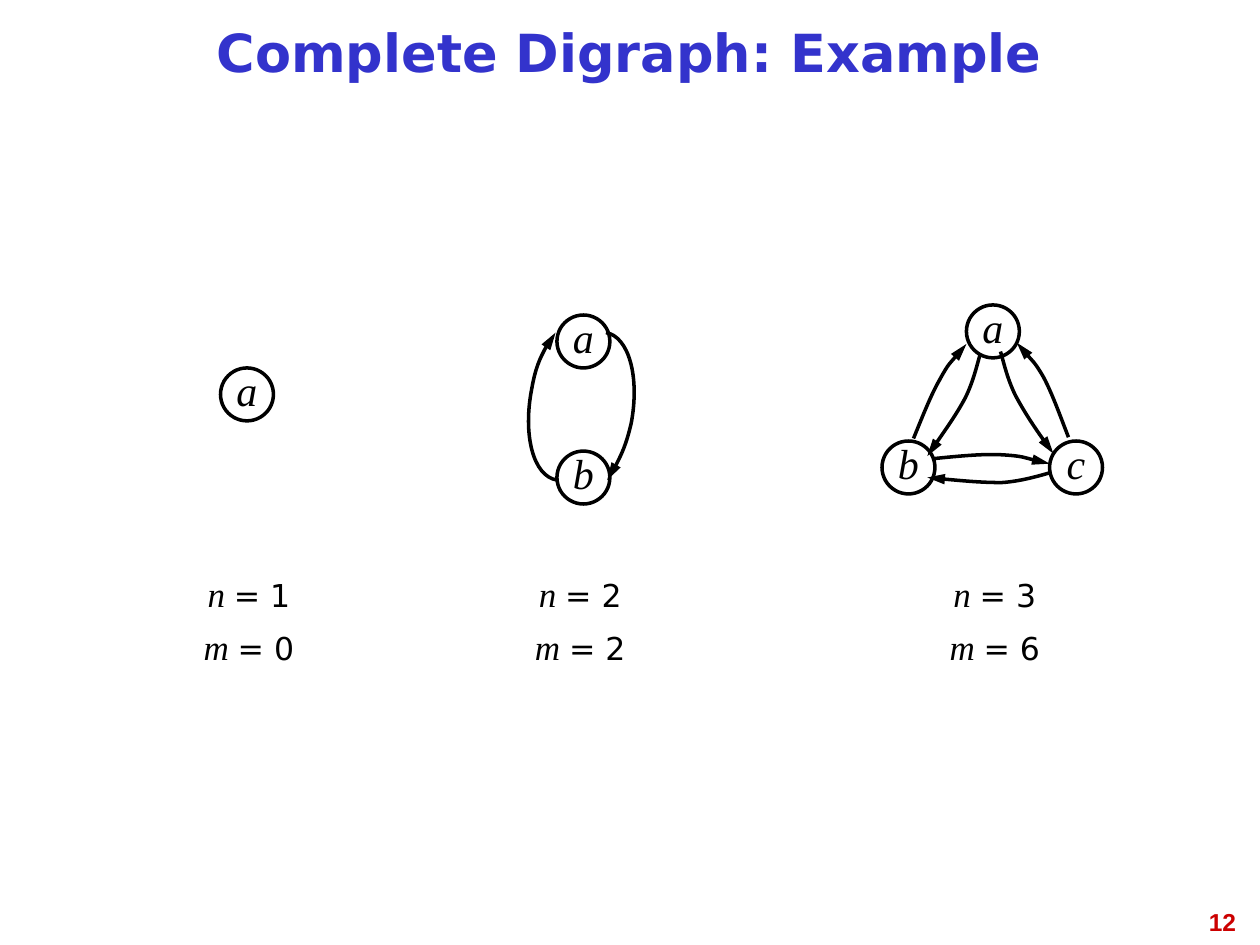
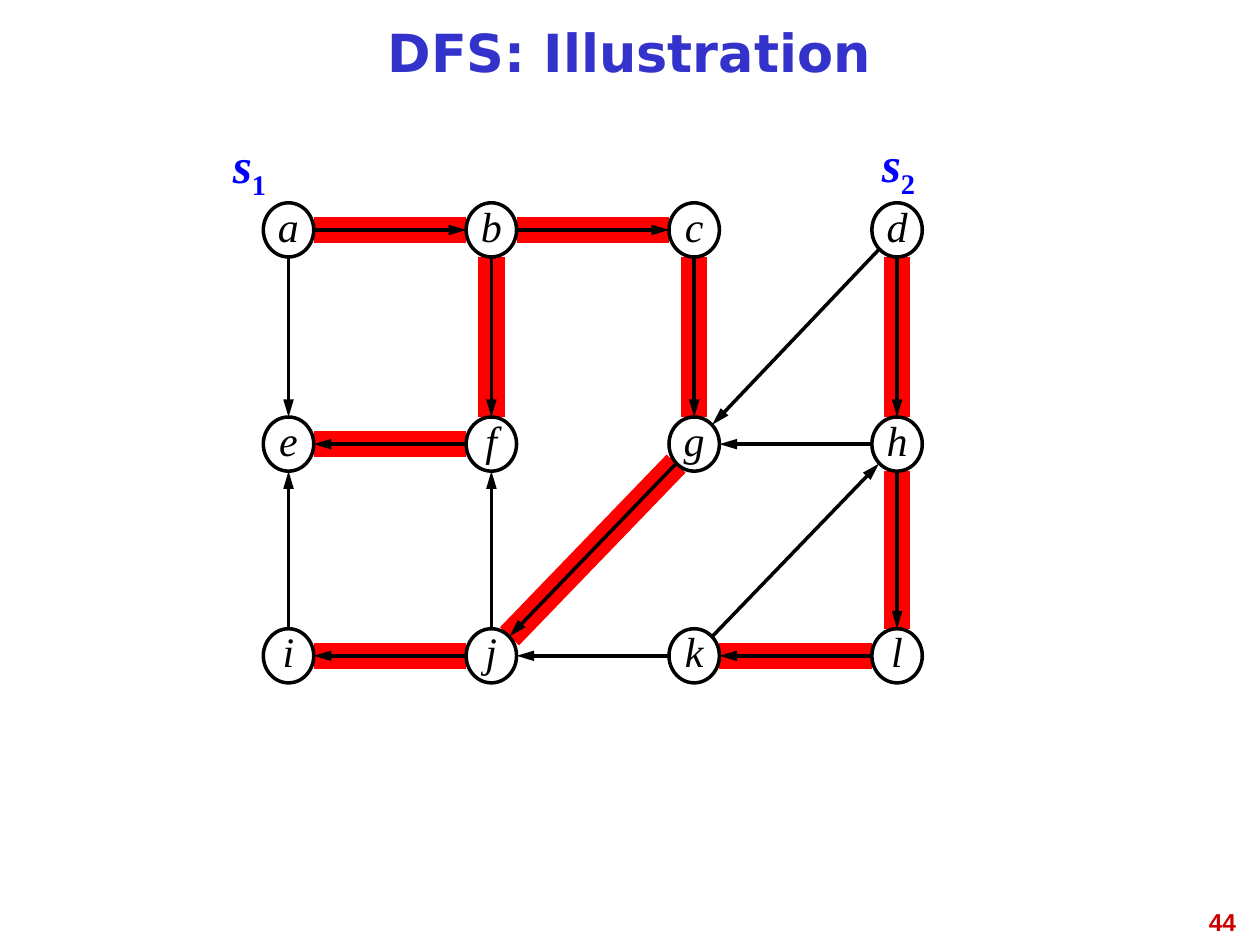
from itertools import product

from lxml.etree import SubElement
from pptx import Presentation
from pptx.dml.color import RGBColor
from pptx.enum.shapes import MSO_CONNECTOR, MSO_SHAPE
from pptx.enum.text import MSO_ANCHOR, PP_ALIGN
from pptx.oxml.ns import qn
from pptx.util import Emu, Pt

PX = 9144
BLACK, RED, BLUE = "000000", "FF0000", "0000FF"
TITLE_BLUE, NUMBER_RED = "3333CC", "CC0000"
SERIF, SANS, NUMBER_FONT = "Times New Roman", "DejaVu Sans", "Arial"
TIGHT = 0.81

DIGRAPHS = [
    {"left": 145, "order": 1, "size": 0, "nodes": [("a", 175, 292)], "arcs": []},
    {"left": 408, "order": 2, "size": 2,
     "nodes": [("a", 442, 250), ("b", 442, 358)],
     "arcs": [
         [(481, 264), (499, 267), (508, 299), (501, 336), (497, 353), (490, 369), (482, 381)],
         [(442, 381), (423, 378), (415, 345), (422, 309), (425, 292), (432, 275), (441, 264)],
     ]},
    {"left": 737, "order": 3, "size": 6,
     "nodes": [("a", 767, 242), ("b", 700, 350), ("c", 833, 350)],
     "arcs": [
         [(725, 348), (732, 331), (739, 313), (746, 301), (753, 288), (763, 278), (767, 273)],
         [(778, 281), (776, 287), (773, 302), (766, 316), (759, 329), (747, 346), (736, 362)],
         [(848, 347), (841, 329), (835, 312), (828, 299), (821, 287), (810, 276), (807, 272)],
         [(794, 279), (796, 285), (799, 300), (806, 314), (813, 327), (824, 344), (836, 360)],
         [(741, 364), (761, 362), (781, 360), (796, 361), (812, 362), (827, 367), (833, 368)],
         [(834, 375), (827, 377), (811, 382), (795, 383), (779, 383), (757, 381), (736, 379)],
     ]},
]

NODE_W, NODE_H = 40, 43
COLUMN_LEFT, COLUMN_STEP = 209, 161
ROW_TOPS = [161, 331, 499]
TREE_EDGES = ["ab", "bc", "bf", "cg", "fe", "gj", "ji", "dh", "hl", "lk"]
OTHER_EDGES = ["ae", "dg", "hg", "ie", "jf", "kj", "kh"]


def px(length):
    """Turn px into EMU."""
    return Emu(round(length * PX))


def color(value):
    """Turn a hex string into a colour."""
    return RGBColor.from_string(value)


def style(font, name, size, shade, bold=False, italic=False):
    """Set the look of a font."""
    font.name, font.size = name, Pt(size)
    font.bold, font.italic = bold, italic
    font.color.rgb = color(shade)


def set_line(line, shade, width, arrow=False):
    """Colour a line and give its end an arrowhead if asked."""
    line.color.rgb = color(shade)
    line.width = Pt(width)
    if arrow:
        SubElement(line._get_or_add_ln(), qn("a:tailEnd"), type="triangle", w="med", len="lg")


def add_label(slide, box, runs, align=PP_ALIGN.CENTER, anchor=MSO_ANCHOR.MIDDLE):
    """Add a one-line text box of (text, style) runs and return its runs."""
    frame = slide.shapes.add_textbox(*map(px, box)).text_frame
    frame.word_wrap = False
    frame.vertical_anchor = anchor
    paragraph = frame.paragraphs[0]
    paragraph.alignment = align
    for text, look in runs:
        run = paragraph.add_run()
        run.text = text
        style(run.font, **look)
    return paragraph.runs


def add_titled_slide(deck, title, number):
    """Add a slide with the shared title and slide number."""
    slide = deck.slides.add_slide(deck.slide_layouts[5])
    heading = slide.shapes.title
    heading.left, heading.top, heading.width, heading.height = map(px, (50, 8, 899, 75))
    heading.text_frame.text = title
    heading.text_frame.vertical_anchor = MSO_ANCHOR.MIDDLE
    paragraph = heading.text_frame.paragraphs[0]
    paragraph.alignment = PP_ALIGN.CENTER
    paragraph.line_spacing = TIGHT
    style(paragraph.runs[0].font, SANS, 30, TITLE_BLUE, bold=True)
    look = {"name": NUMBER_FONT, "size": 14, "shade": NUMBER_RED, "bold": True}
    add_label(slide, (758, 715, 233, 35), [(str(number), look)], PP_ALIGN.RIGHT, MSO_ANCHOR.TOP)
    return slide


def add_node(slide, name, left, top, width=42, height=42):
    """Add a round graph node with its name."""
    node = slide.shapes.add_shape(MSO_SHAPE.OVAL, *map(px, (left, top, width, height)))
    node.shadow.inherit = False
    node.fill.background()
    set_line(node.line, BLACK, 2)
    frame = node.text_frame
    frame.text = name
    frame.word_wrap = False
    frame.vertical_anchor = MSO_ANCHOR.MIDDLE
    paragraph = frame.paragraphs[0]
    paragraph.alignment = PP_ALIGN.CENTER
    paragraph.line_spacing = TIGHT
    style(paragraph.runs[0].font, SERIF, 24, BLACK, italic=True)


def add_arc(slide, points):
    """Add a curved arrow: a start point, then three points per Bezier piece."""
    builder = slide.shapes.build_freeform(*points[0], scale=PX)
    builder.add_line_segments(points[1:], close=False)
    arc = builder.convert_to_shape()
    outline = next(arc._element.iter(qn("a:path")))
    segments = outline.findall(qn("a:lnTo"))
    for first in range(0, len(segments), 3):
        curve = SubElement(outline, qn("a:cubicBezTo"))
        for segment in segments[first:first + 3]:
            curve.append(segment[0])
            outline.remove(segment)
    arc.shadow.inherit = False
    arc.fill.background()
    set_line(arc.line, BLACK, 2, arrow=True)


def add_edge(slide, start, end, shade, width, arrow):
    """Add a straight edge between two points."""
    edge = slide.shapes.add_connector(MSO_CONNECTOR.STRAIGHT, *map(px, (*start, *end)))
    set_line(edge.line, shade, width, arrow)
    SubElement(edge._element.spPr, qn("a:effectLst"))


def rim_point(node, other):
    """Find the point of a grid node's rim that faces another grid node."""
    across = (other[0] > node[0]) - (other[0] < node[0])
    down = (other[1] > node[1]) - (other[1] < node[1])
    reach = 0.5 if 0 in (across, down) else 0.36
    return (node[0] + NODE_W * (0.5 + reach * across),
            node[1] + NODE_H * (0.5 + reach * down))


def add_digraph(slide, left, order, size, nodes, arcs):
    """Add one complete digraph and its counts."""
    for node in nodes:
        add_node(slide, *node)
    for arc in arcs:
        add_arc(slide, arc)
    symbol_look = {"name": SERIF, "size": 20, "shade": BLACK, "italic": True}
    count_look = {"name": SANS, "size": 18, "shade": BLACK}
    for top, symbol, count in ((450, "n", order), (492, "m", size)):
        add_label(slide, (left, top, 105, 42),
                  [(f"{symbol} ", symbol_look), (f"= {count}", count_look)])


def add_source(slide, index, left, top):
    """Add the label of a search source with its subscript."""
    look = {"name": SERIF, "size": 28, "shade": BLUE, "bold": True}
    runs = add_label(slide, (left, top, 52, 51),
                     [("s", {**look, "italic": True}), (index, look)], PP_ALIGN.LEFT)
    runs[1]._r.get_or_add_rPr().set("baseline", "-25000")


def add_search(slide):
    """Add the search grid with its tree edges highlighted."""
    places = {name: (COLUMN_LEFT + COLUMN_STEP * column, top)
              for name, (top, column) in zip("abcdefghijkl", product(ROW_TOPS, range(4)))}
    layers = ((TREE_EDGES, RED, 15, False), (TREE_EDGES + OTHER_EDGES, BLACK, 2, True))
    for edges, shade, width, arrow in layers:
        for source, target in edges:
            start, end = places[source], places[target]
            add_edge(slide, rim_point(start, end), rim_point(end, start), shade, width, arrow)
    for name, place in places.items():
        add_node(slide, name, *place, NODE_W, NODE_H)
    add_source(slide, "1", 175, 108)
    add_source(slide, "2", 690, 107)


def main():
    """Build the deck."""
    deck = Presentation()
    deck.slide_width, deck.slide_height = px(1000), px(750)
    examples = add_titled_slide(deck, "Complete Digraph: Example", 12)
    for digraph in DIGRAPHS:
        add_digraph(examples, **digraph)
    add_search(add_titled_slide(deck, "DFS: Illustration", 44))
    deck.save("out.pptx")


if __name__ == "__main__":
    main()
